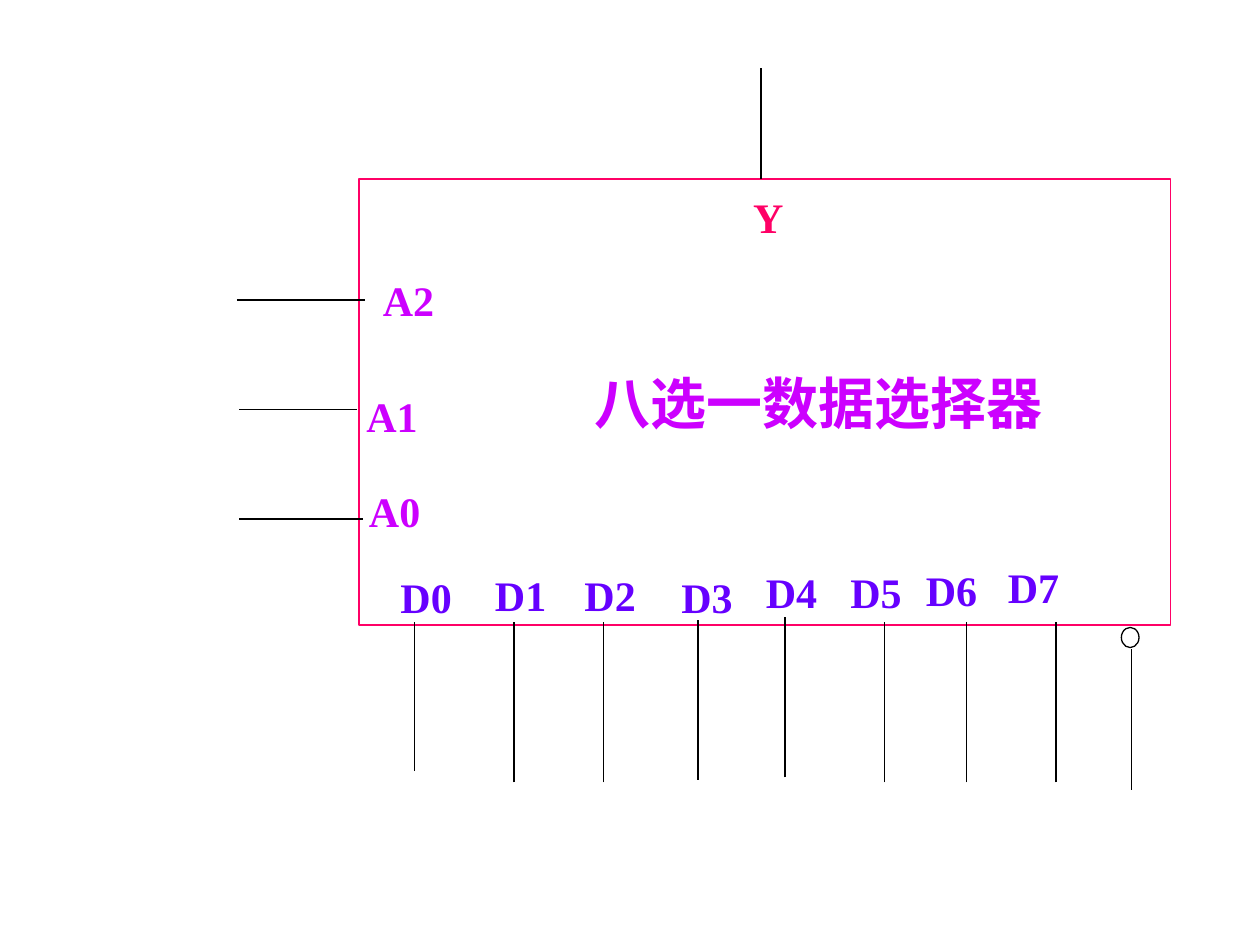
from pptx import Presentation
from pptx.dml.color import RGBColor
from pptx.enum.shapes import MSO_CONNECTOR, MSO_SHAPE
from pptx.enum.text import MSO_ANCHOR, PP_ALIGN
from pptx.util import Inches, Pt
from lxml.etree import SubElement
from pptx.oxml.ns import qn

THEME = {
    "font": "Times New Roman",
    "output": RGBColor(0xFF, 0x00, 0x66),
    "address": RGBColor(0xCC, 0x00, 0xFF),
    "data": RGBColor(0x66, 0x00, 0xFF),
    "wire": RGBColor(0x00, 0x00, 0x00),
    "paper": RGBColor(0xFF, 0xFF, 0xFF),
    "pin_size": Pt(24),
    "name_size": Pt(32),
    "line_width": Pt(0.75),
}

CHIP_NAME = "八选一数据选择器"
CHIP = (2.85, 1.42, 6.44, 3.54)
NAME_INDENT = 0.95
BUBBLE = (8.9, 4.98, 0.14, 0.16)
PIN_HEIGHT = 0.5

PINS = [
    ("Y", "output", 5.88, 1.44, 0.5),
    ("A2", "address", 2.94, 2.1, 0.67),
    ("A1", "address", 2.81, 3.02, 0.67),
    ("A0", "address", 2.83, 3.77, 0.75),
    ("D0", "data", 3.08, 4.46, 0.73),
    ("D1", "data", 3.83, 4.44, 0.73),
    ("D2", "data", 4.54, 4.44, 0.81),
    ("D3", "data", 5.31, 4.46, 0.73),
    ("D4", "data", 5.98, 4.42, 0.73),
    ("D5", "data", 6.65, 4.42, 0.73),
    ("D6", "data", 7.25, 4.4, 0.65),
    ("D7", "data", 7.9, 4.38, 0.73),
]

ADDRESS_WIRES = [(1.88, 2.9, 2.38), (1.9, 2.83, 3.25), (1.9, 2.88, 4.12)]
VERTICAL_WIRES = [
    (6.04, 1.42, 0.54),
    (3.29, 6.12, 4.94),
    (4.08, 6.21, 4.94),
    (4.79, 6.21, 4.94),
    (5.54, 6.19, 4.92),
    (6.23, 6.17, 4.9),
    (7.02, 6.21, 4.94),
    (7.67, 6.21, 4.94),
    (8.38, 6.21, 4.94),
    (8.98, 5.15, 6.27),
]


def add_outline(slide, preset, place, colour):
    outline = slide.shapes.add_shape(preset, *map(Inches, place))
    outline.shadow.inherit = False
    outline.line.color.rgb = THEME[colour]
    outline.line.width = THEME["line_width"]
    return outline


def write(frame, words, size, colour):
    run = frame.paragraphs[0].add_run()
    run.text = words
    run.font.name = THEME["font"]
    run.font.size = THEME[size]
    run.font.bold = True
    run.font.color.rgb = THEME[colour]


def add_chip(slide):
    chip = add_outline(slide, MSO_SHAPE.RECTANGLE, CHIP, "output")
    chip.fill.background()
    frame = chip.text_frame
    frame.word_wrap = True
    frame.vertical_anchor = MSO_ANCHOR.MIDDLE
    frame.margin_left = Inches(NAME_INDENT)
    frame.paragraphs[0].alignment = PP_ALIGN.CENTER
    write(frame, CHIP_NAME, "name_size", "address")


def add_pin(slide, label, role, left, top, width):
    pin = slide.shapes.add_textbox(*map(Inches, (left, top, width, PIN_HEIGHT)))
    frame = pin.text_frame
    frame.word_wrap = True
    frame.margin_top = Inches(0.08)
    frame.margin_bottom = Inches(0.02)
    write(frame, label, "pin_size", role)


def add_wire(slide, *ends):
    wire = slide.shapes.add_connector(MSO_CONNECTOR.STRAIGHT, *map(Inches, ends))
    wire.line.color.rgb = THEME["wire"]
    wire.line.width = THEME["line_width"]
    SubElement(wire._element.spPr, qn("a:effectLst"))


def main():
    deck = Presentation()
    deck.slide_width, deck.slide_height = Inches(10), Inches(7.5)
    slide = deck.slides.add_slide(deck.slide_layouts[6])

    add_chip(slide)
    for x, start, end in VERTICAL_WIRES:
        add_wire(slide, x, start, x, end)
    for start, end, y in ADDRESS_WIRES:
        add_wire(slide, start, y, end, y)
    bubble = add_outline(slide, MSO_SHAPE.OVAL, BUBBLE, "wire")
    bubble.fill.solid()
    bubble.fill.fore_color.rgb = THEME["paper"]
    for pin in PINS:
        add_pin(slide, *pin)

    deck.save("out.pptx")


if __name__ == "__main__":
    main()
